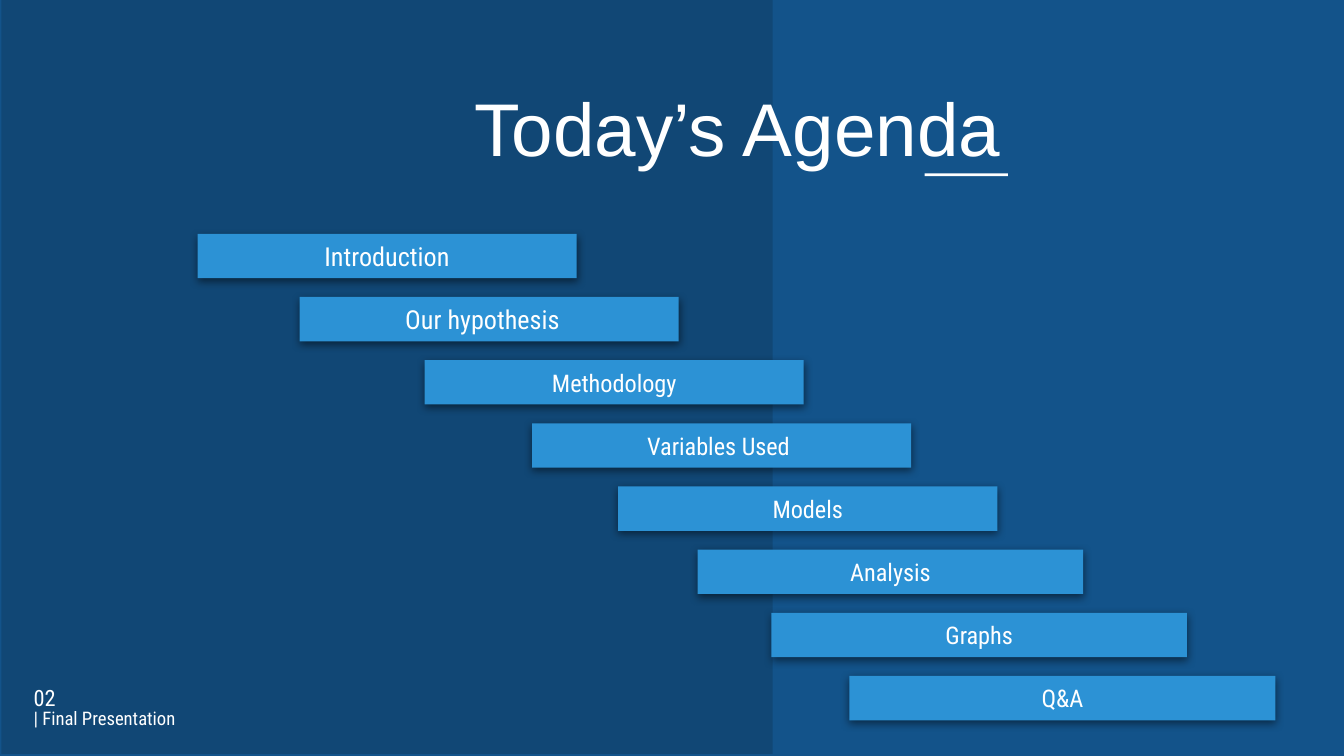
"""Build the agenda slide with its staircase of topic bars."""
import dataclasses

import lxml.etree
import pptx
import pptx.dml.color
import pptx.enum.shapes
import pptx.enum.text
import pptx.oxml.ns
import pptx.util

Inches = pptx.util.Inches
Kind = pptx.enum.shapes.MSO_SHAPE
Align = pptx.enum.text.PP_ALIGN
Anchor = pptx.enum.text.MSO_ANCHOR
qn = pptx.oxml.ns.qn


@dataclasses.dataclass(frozen=True)
class Theme:
    back: str = "13538A"
    panel: str = "10416B"
    bar: str = "2C92D5"
    white: str = "FFFFFF"
    shade: str = "000000"
    head: str = "Arial"
    body: str = "Roboto Condensed"
    title: int = 40
    large: int = 14
    mid: int = 13
    page: int = 12
    small: int = 10


def color(code):
    return pptx.dml.color.RGBColor.from_string(code)


def write(frame, text, font, size, ink, align=Align.LEFT, lead=1.0,
          inset=0, trail=0, anchor=Anchor.TOP):
    frame.word_wrap = True
    frame.vertical_anchor = anchor
    frame.margin_left = frame.margin_top = frame.margin_bottom = Inches(inset)
    frame.margin_right = Inches(inset + trail)
    para = frame.paragraphs[0]
    para.alignment = align
    para.line_spacing = lead
    run = para.add_run()
    run.text = text
    run.font.name = font
    run.font.size = pptx.util.Pt(size)
    run.font.color.rgb = color(ink)


class Deck:
    def __init__(self, theme, slide):
        self.theme = theme
        self.slide = slide
        slide.background.fill.solid()
        slide.background.fill.fore_color.rgb = color(theme.back)

    def block(self, box, fill, kind=Kind.RECTANGLE, alpha=None):
        shape = self.slide.shapes.add_shape(kind, *map(Inches, box))
        shape.shadow.inherit = False
        shape.line.fill.background()
        shape.fill.solid()
        shape.fill.fore_color.rgb = color(fill)
        if alpha is not None:
            tint = next(shape.element.spPr.iter(qn("a:srgbClr")))
            lxml.etree.SubElement(tint, qn("a:alpha"), val=str(alpha * 1000))
        return shape

    def label(self, box, text, size, font=None, **form):
        shape = self.slide.shapes.add_textbox(*map(Inches, box))
        write(shape.text_frame, text, font or self.theme.body, size,
              self.theme.white, **form)

    def shadow(self, shape):
        effects = shape.element.spPr.find(qn("a:effectLst"))
        outer = lxml.etree.SubElement(
            effects, qn("a:outerShdw"), blurRad=str(pptx.util.Pt(4.5)),
            dist=str(pptx.util.Pt(1.5)), dir="5400000", algn="bl", rotWithShape="0")
        tint = lxml.etree.SubElement(outer, qn("a:srgbClr"), val=self.theme.shade)
        lxml.etree.SubElement(tint, qn("a:alpha"), val="50000")

    def bar(self, box, text, size, trail):
        shape = self.block(box, self.theme.bar, Kind.CHEVRON)
        shape.adjustments[0] = 0
        self.shadow(shape)
        write(shape.text_frame, text, self.theme.body, size, self.theme.white,
              align=Align.CENTER, inset=0.07, trail=trail, anchor=Anchor.MIDDLE)


def main():
    show = pptx.Presentation()
    show.slide_width = Inches(10)
    show.slide_height = show.slide_width * 9 // 16
    theme = Theme()
    deck = Deck(theme, show.slides.add_slide(show.slide_layouts[6]))

    deck.block((0.01, -0.01, 5.74, 5.62), theme.panel, alpha=65)
    deck.label((2.12, 0.64, 6.73, 0.57), "Today’s Agenda", theme.title,
               font=theme.head, align=Align.CENTER, lead=0.98)
    deck.block((6.88, 1.29, 0.62, 0.02), theme.white)
    deck.label((0.25, 5.01, 0.84, 0.23), "02", theme.page, lead=1.4)
    deck.label((0.25, 5.26, 1.87, 0.17), "| Final Presentation", theme.small)

    topics = [
        ("Introduction", 1.47, 2.82, theme.large, 0),
        ("Our hypothesis", 2.23, 2.82, theme.large, 0.1),
        ("Methodology", 3.16, 2.82, theme.mid, 0),
        ("Variables Used", 3.96, 2.82, theme.mid, 0.05),
        ("Models", 4.6, 2.82, theme.mid, 0),
        ("Analysis", 5.19, 2.87, theme.mid, 0),
        ("Graphs", 5.74, 3.09, theme.mid, 0),
        ("Q&A", 6.32, 3.17, theme.mid, 0),
    ]
    for step, (text, left, width, size, trail) in enumerate(topics):
        deck.bar((left, 1.74 + 0.47 * step, width, 0.33), text, size, trail)

    show.save("out.pptx")


if __name__ == "__main__":
    main()
